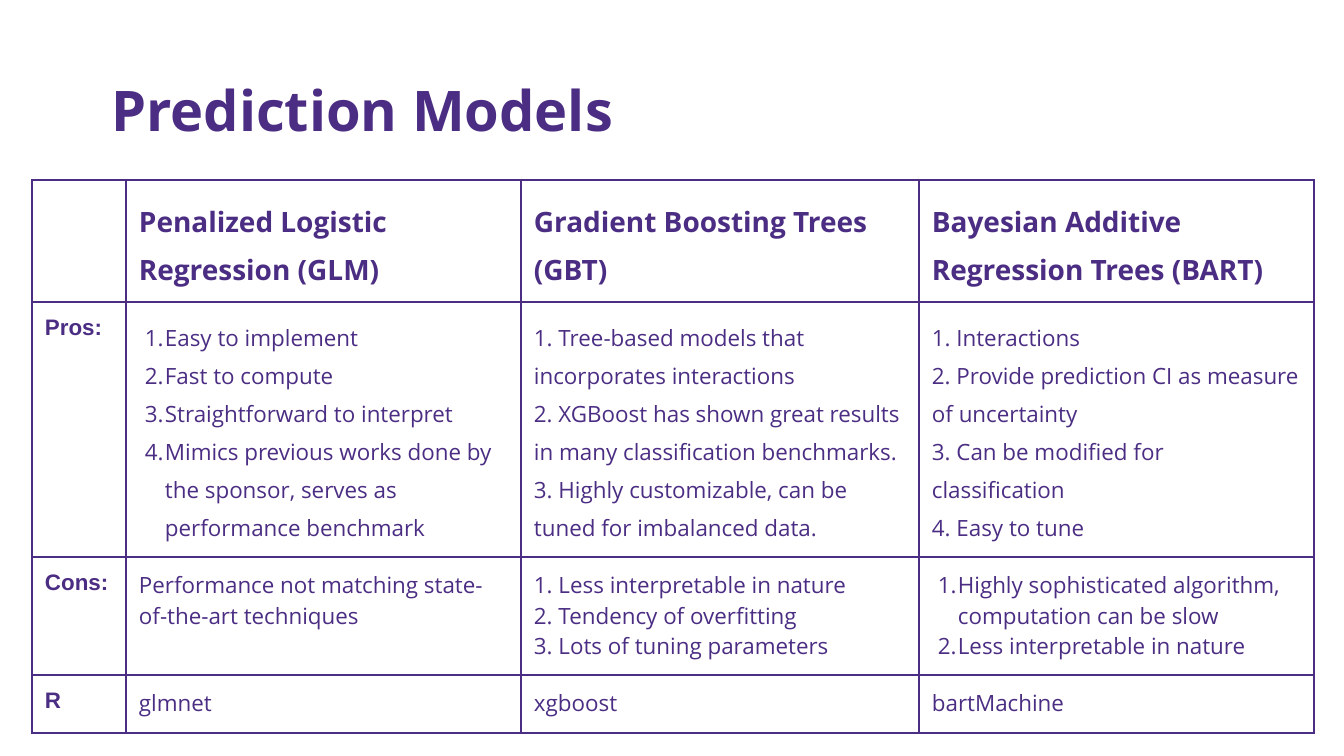
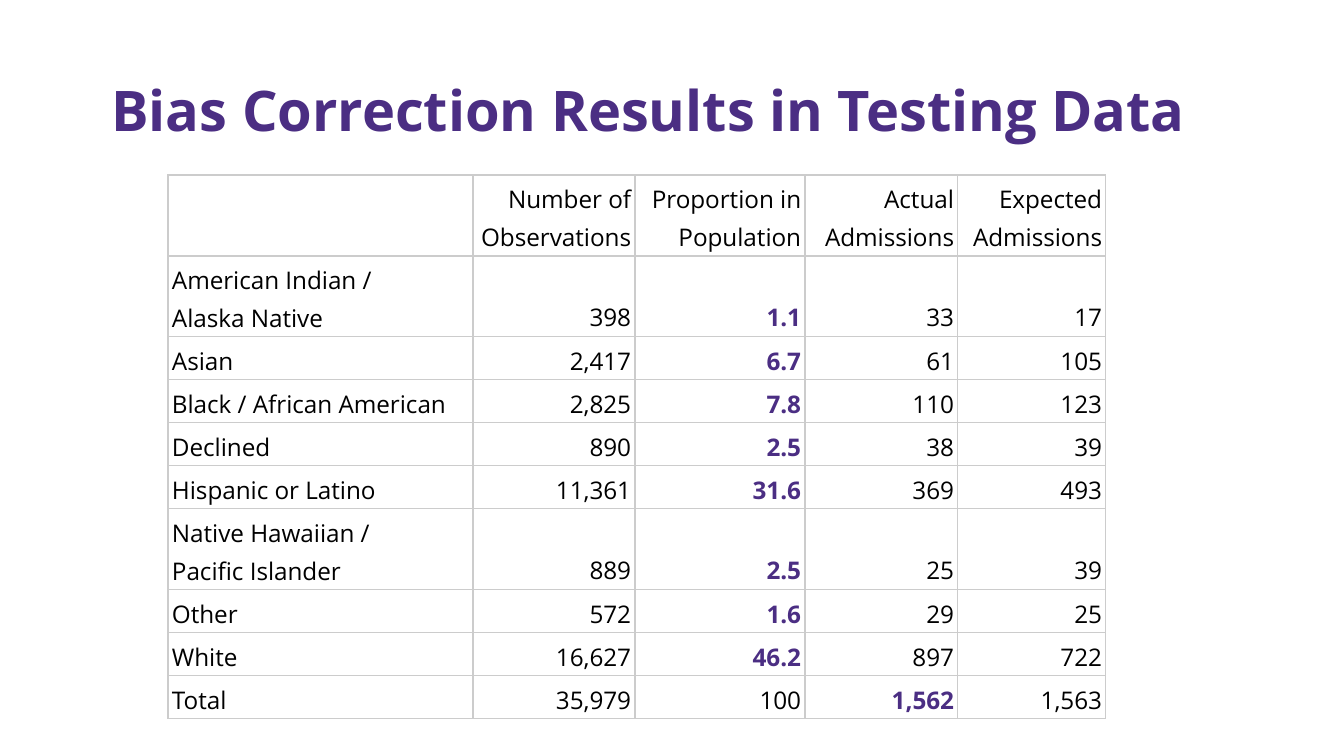
from lxml import etree
from pptx import Presentation
from pptx import util as u
from pptx.dml.color import RGBColor
from pptx.enum import text
from pptx.oxml import ns

PX = 914400 / 134.4
PURPLE, BLACK, GRAY = "4B2E83", "000000", "CCCCCC"
FONT, LABEL_FONT = "Open Sans", "Arial"
TITLE_BOX = (98, 40, 1203, 109)

MODELS = [
    "Penalized Logistic Regression (GLM)",
    "Gradient Boosting Trees (GBT)",
    "Bayesian Additive Regression Trees (BART)",
]
# Lists marked "auto" are numbered by the paragraph format; "plain" ones are not.
MODEL_ROWS = [
    ("Pros:", 1.25, [
        ("auto", ["Easy to implement", "Fast to compute", "Straightforward to interpret",
                  "Mimics previous works done by the sponsor, serves as performance benchmark"]),
        ("plain", ["1. Tree-based models that incorporates interactions",
                   "2. XGBoost has shown great results in many classification benchmarks.",
                   "3. Highly customizable, can be tuned for imbalanced data."]),
        ("plain", ["1. Interactions", "2. Provide prediction CI as measure of uncertainty",
                   "3. Can be modified for classification", "4. Easy to tune"]),
    ]),
    ("Cons:", 1, [
        ("plain", ["Performance not matching state-of-the-art techniques"]),
        ("plain", ["1. Less interpretable in nature", "2. Tendency of overfitting",
                   "3. Lots of tuning parameters"]),
        ("auto", ["Highly sophisticated algorithm, computation can be slow",
                  "Less interpretable in nature"]),
    ]),
    ("R", 1, [("plain", ["glmnet"]), ("plain", ["xgboost"]), ("plain", ["bartMachine"])]),
]
MODEL_WIDTHS = [94, 395, 398, 395]
MODEL_HEIGHTS = [122, 255, 118, 58]

ADMISSIONS = [
    ("", "Number of Observations", "Proportion in Population",
     "Actual\nAdmissions", "Expected\nAdmissions"),
    ("American Indian /\nAlaska Native", "398", "1.1", "33", "17"),
    ("Asian", "2,417", "6.7", "61", "105"),
    ("Black / African American", "2,825", "7.8", "110", "123"),
    ("Declined", "890", "2.5", "38", "39"),
    ("Hispanic or Latino", "11,361", "31.6", "369", "493"),
    ("Native Hawaiian /\nPacific Islander", "889", "2.5", "25", "39"),
    ("Other", "572", "1.6", "29", "25"),
    ("White", "16,627", "46.2", "897", "722"),
    ("Total", "35,979", "100", "1,562", "1,563"),
]
ADMISSION_WIDTHS = [305, 162, 170, 153, 148]
PROPORTION, ACTUAL = 2, 3
ONE_LINE, TWO_LINES = 43, 81


def px(length):
    return u.Emu(round(length * PX))


def rgb(color):
    return RGBColor.from_string(color)


def style_font(paragraph, size, color=PURPLE, bold=False, name=FONT):
    font = paragraph.font
    font.size, font.bold, font.name = u.Pt(size), bold, name
    font.color.rgb = rgb(color)


def add_titled_slide(presentation, title):
    slide = presentation.slides.add_slide(presentation.slide_layouts[6])
    frame = slide.shapes.add_textbox(*map(px, TITLE_BOX)).text_frame
    frame.word_wrap = True
    frame.vertical_anchor = text.MSO_ANCHOR.BOTTOM
    frame.text = title
    style_font(frame.paragraphs[0], 30, bold=True)
    return slide


def add_borders(cell, color):
    properties = cell._tc.get_or_add_tcPr()
    for side in ("lnL", "lnR", "lnT", "lnB"):
        line = etree.SubElement(properties, ns.qn(f"a:{side}"), w=str(u.Pt(0.75)))
        fill = etree.SubElement(line, ns.qn("a:solidFill"))
        etree.SubElement(fill, ns.qn("a:srgbClr"), val=color)


def add_grid(slide, left, top, widths, heights, line_color, insets, anchor):
    """Add a table with ruled, unfilled cells and return it."""
    table = slide.shapes.add_table(
        len(heights), len(widths), px(left), px(top), px(sum(widths)), px(sum(heights))).table
    table.first_row = table.horz_banding = False
    for column, width in zip(table.columns, widths):
        column.width = px(width)
    for row, height in zip(table.rows, heights):
        row.height = px(height)
    across, down = map(px, insets)
    for cell in table.iter_cells():
        cell.margin_left = cell.margin_right = across
        cell.margin_top = cell.margin_bottom = down
        cell.vertical_anchor = anchor
        add_borders(cell, line_color)
        cell.fill.background()
    return table


def number(paragraph):
    """Give a paragraph automatic numbering with a hanging indent."""
    properties = paragraph._p.get_or_add_pPr()
    properties.set("marL", str(px(26)))
    properties.set("indent", str(px(-20)))
    color = etree.SubElement(properties, ns.qn("a:buClr"))
    etree.SubElement(color, ns.qn("a:srgbClr"), val=PURPLE)
    etree.SubElement(properties, ns.qn("a:buFont"), typeface=FONT)
    etree.SubElement(properties, ns.qn("a:buAutoNum"), type="arabicPeriod")


def write(cell, lines, size, spacing=1, align=text.PP_ALIGN.LEFT, numbered=False, **font):
    cell.text = "\n".join(lines)
    for paragraph in cell.text_frame.paragraphs:
        paragraph.alignment = align
        paragraph.line_spacing = float(spacing)
        if numbered:
            number(paragraph)
        style_font(paragraph, size, **font)


def add_models_slide(presentation):
    slide = add_titled_slide(presentation, "Prediction Models")
    table = add_grid(slide, 32, 180, MODEL_WIDTHS, MODEL_HEIGHTS, PURPLE,
                     (13, 13), text.MSO_ANCHOR.TOP)
    for column, model in enumerate(MODELS, 1):
        write(table.cell(0, column), [model], 15, 1.25, bold=True)
    for row, (label, spacing, entries) in enumerate(MODEL_ROWS, 1):
        write(table.cell(row, 0), [label], 12, bold=True, name=LABEL_FONT)
        for column, (kind, lines) in enumerate(entries, 1):
            write(table.cell(row, column), lines, 12, spacing, numbered=kind == "auto")


def add_results_slide(presentation):
    slide = add_titled_slide(presentation, "Bias Correction Results in Testing Data")
    total = len(ADMISSIONS) - 1
    heights = [TWO_LINES if row == 0 or "\n" in values[0] else ONE_LINE
               for row, values in enumerate(ADMISSIONS)]
    table = add_grid(slide, 168, 175, ADMISSION_WIDTHS, heights, GRAY,
                     (4, 3), text.MSO_ANCHOR.BOTTOM)
    for row, values in enumerate(ADMISSIONS):
        highlight = {0: None, total: ACTUAL}.get(row, PROPORTION)
        for column, value in enumerate(values):
            if not value:
                continue
            strong = column == highlight
            write(table.cell(row, column), value.split("\n"), 13, 1.15,
                  text.PP_ALIGN.RIGHT if column else text.PP_ALIGN.LEFT,
                  color=PURPLE if strong else BLACK, bold=strong)


def main():
    presentation = Presentation()
    presentation.slide_width, presentation.slide_height = px(1344), px(756)
    add_models_slide(presentation)
    add_results_slide(presentation)
    presentation.save("out.pptx")


if __name__ == "__main__":
    main()
